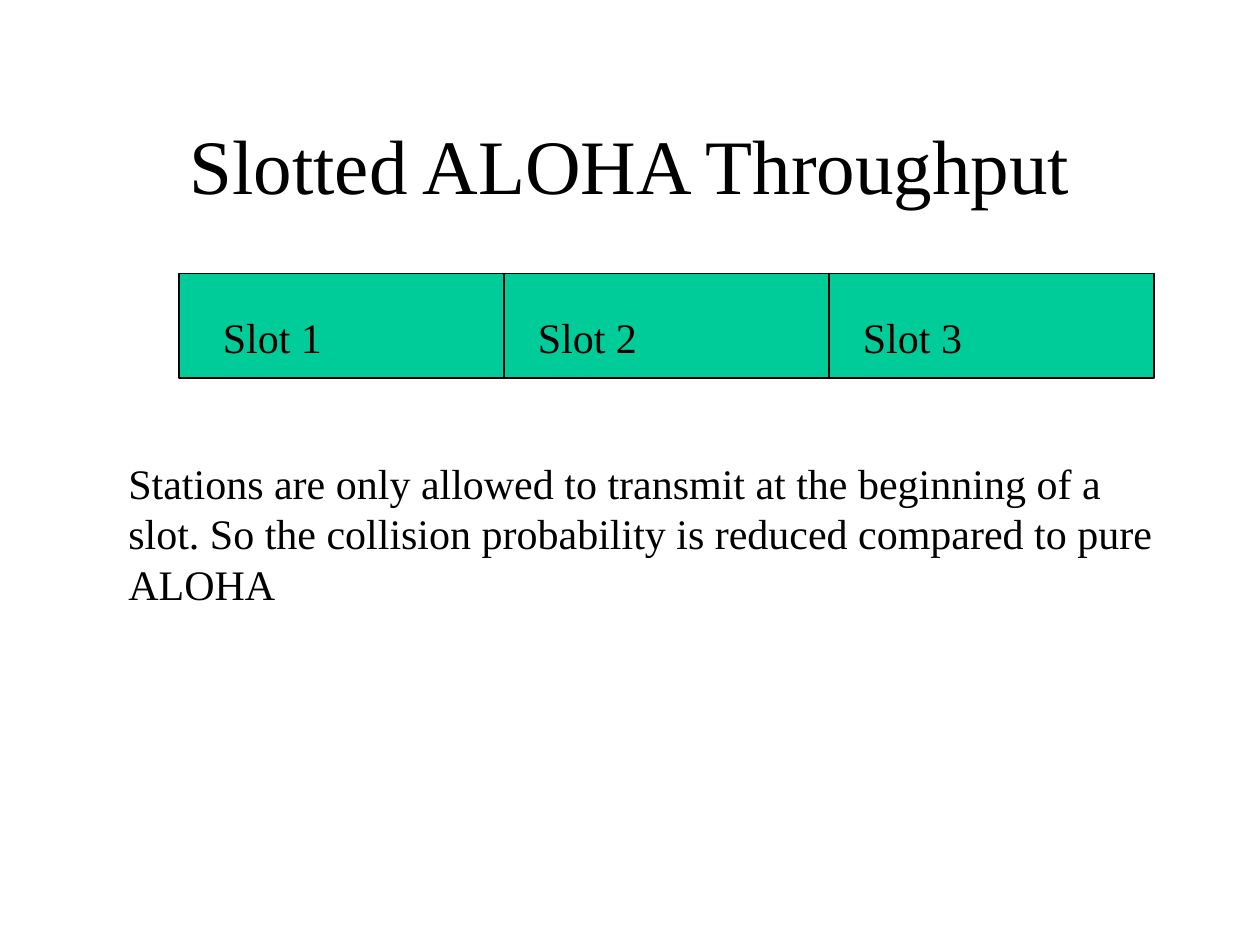
from dataclasses import dataclass

import pptx
import pptx.dml.color
import pptx.enum.shapes
import pptx.enum.text
import pptx.slide
import pptx.util
from pptx.util import Inches

Align = pptx.enum.text.PP_ALIGN
Anchor = pptx.enum.text.MSO_ANCHOR


@dataclass(frozen=True)
class Theme:
    font: str = "Times New Roman"
    ink: str = "000000"
    slot_fill: str = "00CC99"
    title_size: float = 44
    body_size: float = 24
    body_leading: float = 28.8
    body_space_before: float = 15
    outline: float = 0.75


@dataclass(frozen=True)
class Box:
    left: float
    top: float
    width: float
    height: float

    def emu(self) -> tuple[int, int, int, int]:
        return (Inches(self.left), Inches(self.top),
                Inches(self.width), Inches(self.height))


@dataclass(frozen=True)
class Slot:
    label: str
    label_left: float


THEME = Theme()
SLOTS = [Slot("Slot 1", 1.67), Slot("Slot 2", 4.17), Slot("Slot 3", 6.75)]
FIRST_SLOT = Box(1.42, 2.17, 2.58, 0.83)


def rgb(value: str) -> pptx.dml.color.RGBColor:
    return pptx.dml.color.RGBColor.from_string(value)


def add_text(slide: pptx.slide.Slide, text: str, box: Box, *,
             size: float = THEME.body_size,
             align: Align = Align.LEFT,
             anchor: Anchor = Anchor.TOP,
             leading: float | None = THEME.body_leading,
             space_before: float = THEME.body_space_before) -> None:
    frame = slide.shapes.add_textbox(*box.emu()).text_frame
    frame.word_wrap = True
    frame.vertical_anchor = anchor
    paragraph = frame.paragraphs[0]
    paragraph.alignment = align
    paragraph.space_before = pptx.util.Pt(space_before)
    if leading is not None:
        paragraph.line_spacing = pptx.util.Pt(leading)
    run = paragraph.add_run()
    run.text = text
    run.font.name = THEME.font
    run.font.size = pptx.util.Pt(size)
    run.font.color.rgb = rgb(THEME.ink)


def add_slot_block(slide: pptx.slide.Slide, box: Box) -> None:
    block = slide.shapes.add_shape(
        pptx.enum.shapes.MSO_SHAPE.RECTANGLE, *box.emu())
    block.shadow.inherit = False
    block.fill.solid()
    block.fill.fore_color.rgb = rgb(THEME.slot_fill)
    block.line.color.rgb = rgb(THEME.ink)
    block.line.width = pptx.util.Pt(THEME.outline)


def main() -> None:
    presentation = pptx.Presentation()
    presentation.slide_width = Inches(10)
    presentation.slide_height = Inches(7.5)
    slide = presentation.slides.add_slide(presentation.slide_layouts[6])

    add_text(slide, "Slotted ALOHA Throughput", Box(0.75, 0.67, 8.5, 1.25),
             size=THEME.title_size, align=Align.CENTER, anchor=Anchor.MIDDLE,
             leading=None, space_before=0)

    for index, slot in enumerate(SLOTS):
        left = FIRST_SLOT.left + index * FIRST_SLOT.width
        add_slot_block(slide, Box(left, FIRST_SLOT.top,
                                  FIRST_SLOT.width, FIRST_SLOT.height))
        add_text(slide, slot.label, Box(slot.label_left, 2.42, 2.17, 0.5))

    add_text(slide,
             "Stations are only allowed to transmit at the beginning of a slot. "
             "So the collision probability is reduced compared to pure ALOHA",
             Box(0.92, 3.58, 8.42, 1.3))

    presentation.save("out.pptx")


if __name__ == "__main__":
    main()
